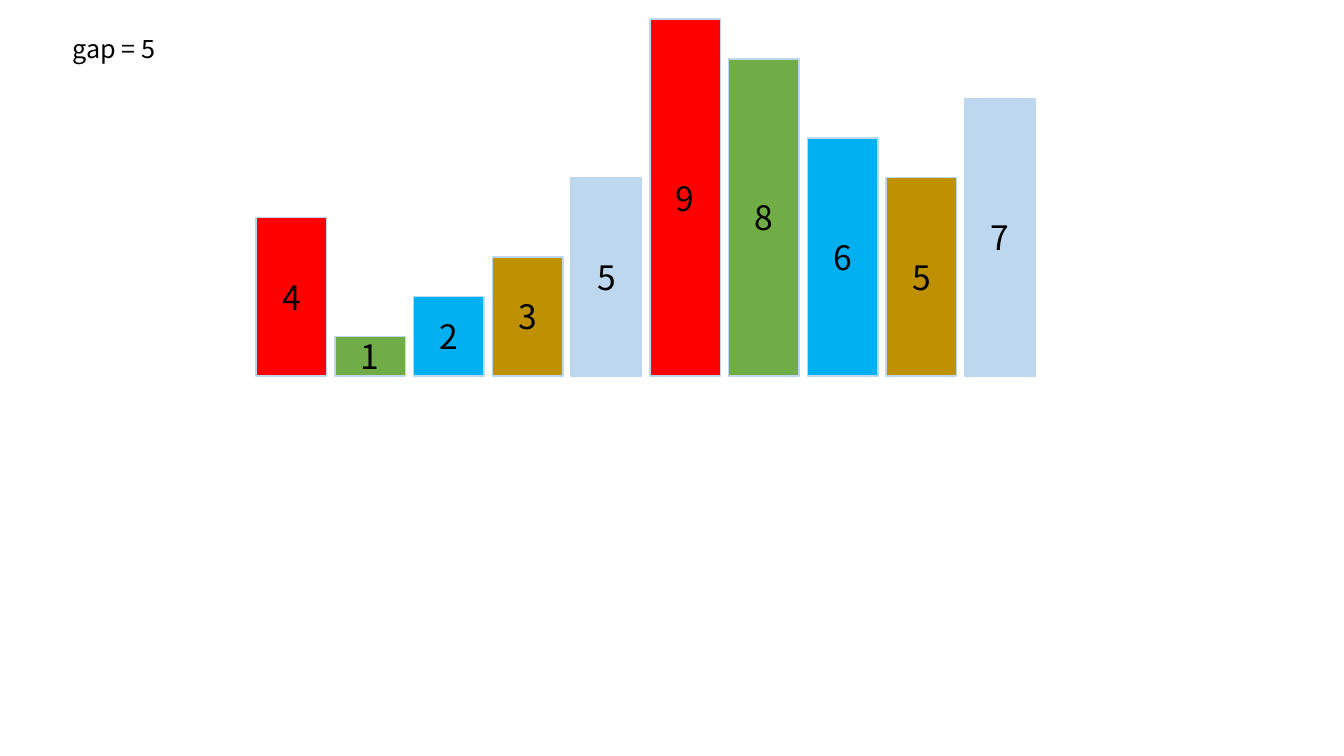
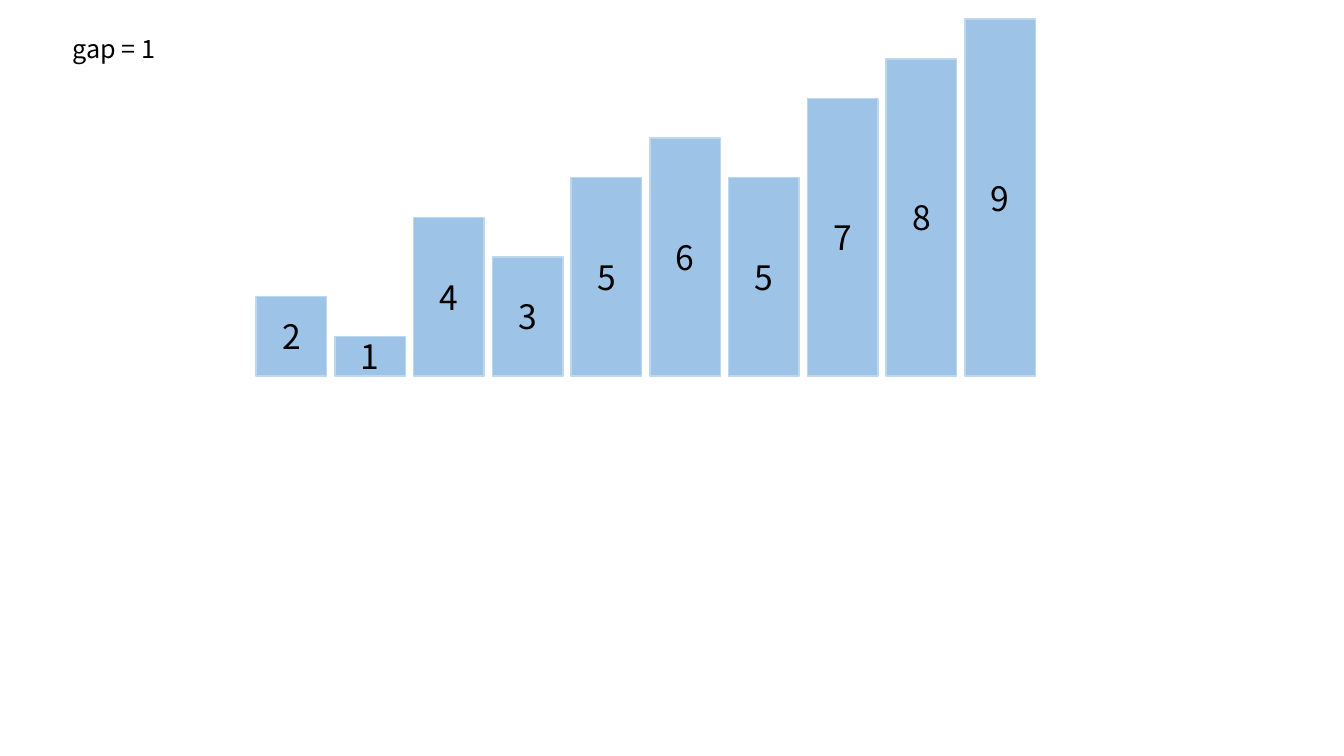
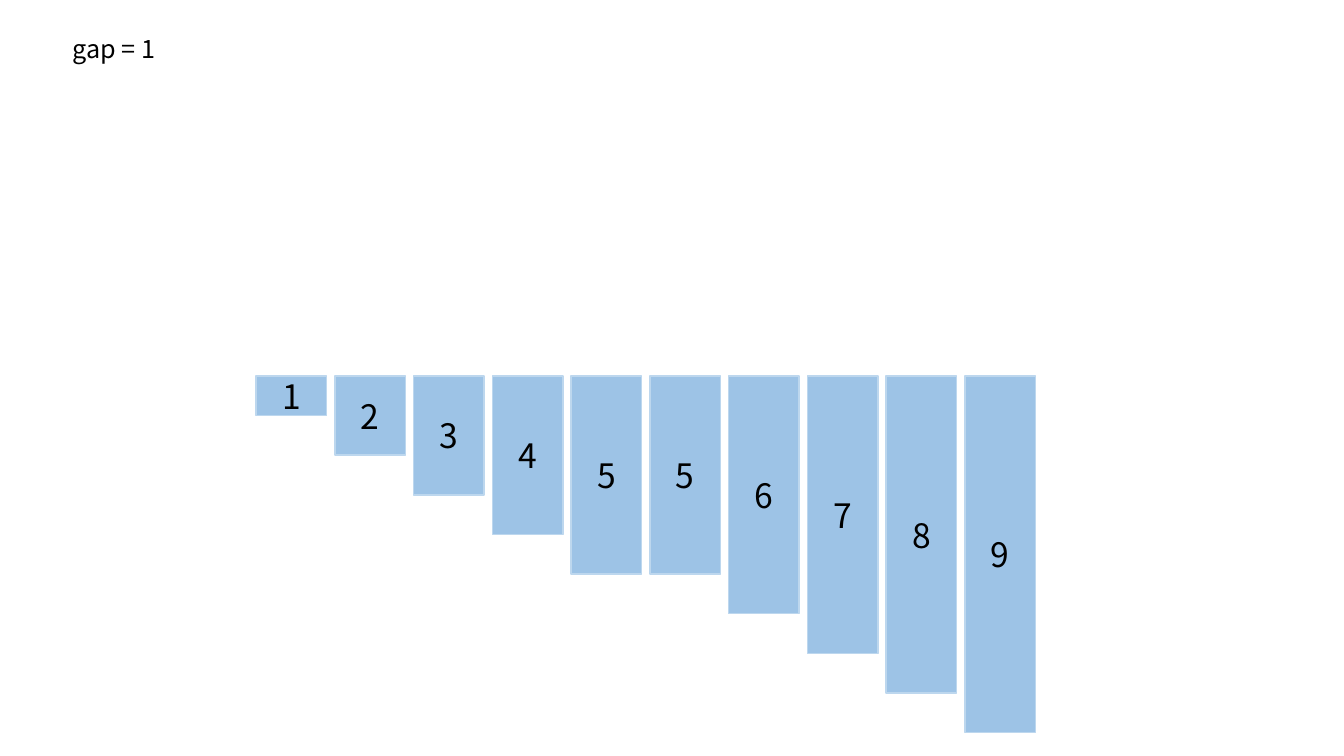
from dataclasses import dataclass
from itertools import cycle

from pptx import Presentation
from pptx.dml.color import RGBColor
from pptx.enum.shapes import MSO_SHAPE
from pptx.enum.text import MSO_ANCHOR, PP_ALIGN
from pptx.util import Inches, Pt

RECT = MSO_SHAPE.RECTANGLE
TOP, MIDDLE = MSO_ANCHOR.TOP, MSO_ANCHOR.MIDDLE
LEFT, CENTER = PP_ALIGN.LEFT, PP_ALIGN.CENTER


@dataclass(frozen=True)
class Theme:
    font: str = "Noto Sans CJK SC"
    text: str = "000000"
    outline: str = "BDD7EE"
    plain: tuple = ("9DC3E6",)
    groups: tuple = ("FF0000", "70AD47", "00B0F0", "BF9000", "BDD7EE")
    label_size: int = 18
    bar_size: int = 24
    outline_width: int = 1


THEME = Theme()
GAP_BOX = (0.62, 0.28, 1.41, 0.71)
UPPER_BOX = (2.54, 0.19, 7.73, 3.54)
LOWER_BOX = (2.54, 3.73, 7.73, 3.54)
BAR_WIDTH = 0.7
MAX_VALUE = 9

SLIDES = [
    {"gap": 5, "values": [4, 1, 2, 3, 5, 9, 8, 6, 5, 7],
     "fills": THEME.groups, "box": UPPER_BOX},
    {"gap": 1, "values": [2, 1, 4, 3, 5, 6, 5, 7, 8, 9],
     "fills": THEME.plain, "box": UPPER_BOX},
    {"gap": 1, "values": [1, 2, 3, 4, 5, 5, 6, 7, 8, 9],
     "fills": THEME.plain, "box": LOWER_BOX, "hanging": True},
]


def write(sp, text, size, align, anchor):
    tf = sp.text_frame
    tf.word_wrap = True
    tf.vertical_anchor = anchor
    p = tf.paragraphs[0]
    p.alignment = align
    r = p.add_run()
    r.text = text
    for name, value in {"name": THEME.font, "size": Pt(size)}.items():
        setattr(r.font, name, value)
    r.font.color.rgb = RGBColor.from_string(THEME.text)


def add_gap_label(s, gap, box):
    sp = s.shapes.add_textbox(*map(Inches, box))
    write(sp, f"gap = {gap}", THEME.label_size, LEFT, TOP)


def add_bar(s, value, fill, box):
    sp = s.shapes.add_shape(RECT, *map(Inches, box))
    sp.shadow.inherit = False
    sp.fill.solid()
    sp.fill.fore_color.rgb = RGBColor.from_string(fill)
    sp.line.color.rgb = RGBColor.from_string(THEME.outline)
    sp.line.width = Pt(THEME.outline_width)
    write(sp, str(value), THEME.bar_size, CENTER, MIDDLE)


def add_bar_row(s, values, fills, box, hanging=False):
    """Spread bars evenly over the box, standing on its floor or hanging from its top."""
    left, top, width, height = box
    pitch = (width - BAR_WIDTH) / (len(values) - 1)
    for i, (value, fill) in enumerate(zip(values, cycle(fills))):
        bar_height = height * value / MAX_VALUE
        bar_top = top if hanging else top + height - bar_height
        add_bar(s, value, fill, (left + i * pitch, bar_top, BAR_WIDTH, bar_height))


def add_sort_slide(prs, gap, **row):
    s = prs.slides.add_slide(prs.slide_layouts[6])
    add_gap_label(s, gap, GAP_BOX)
    add_bar_row(s, **row)


def main():
    prs = Presentation()
    prs.slide_width, prs.slide_height = Inches(13.33), Inches(7.5)
    for content in SLIDES:
        add_sort_slide(prs, **content)
    prs.save("out.pptx")


if __name__ == "__main__":
    main()
